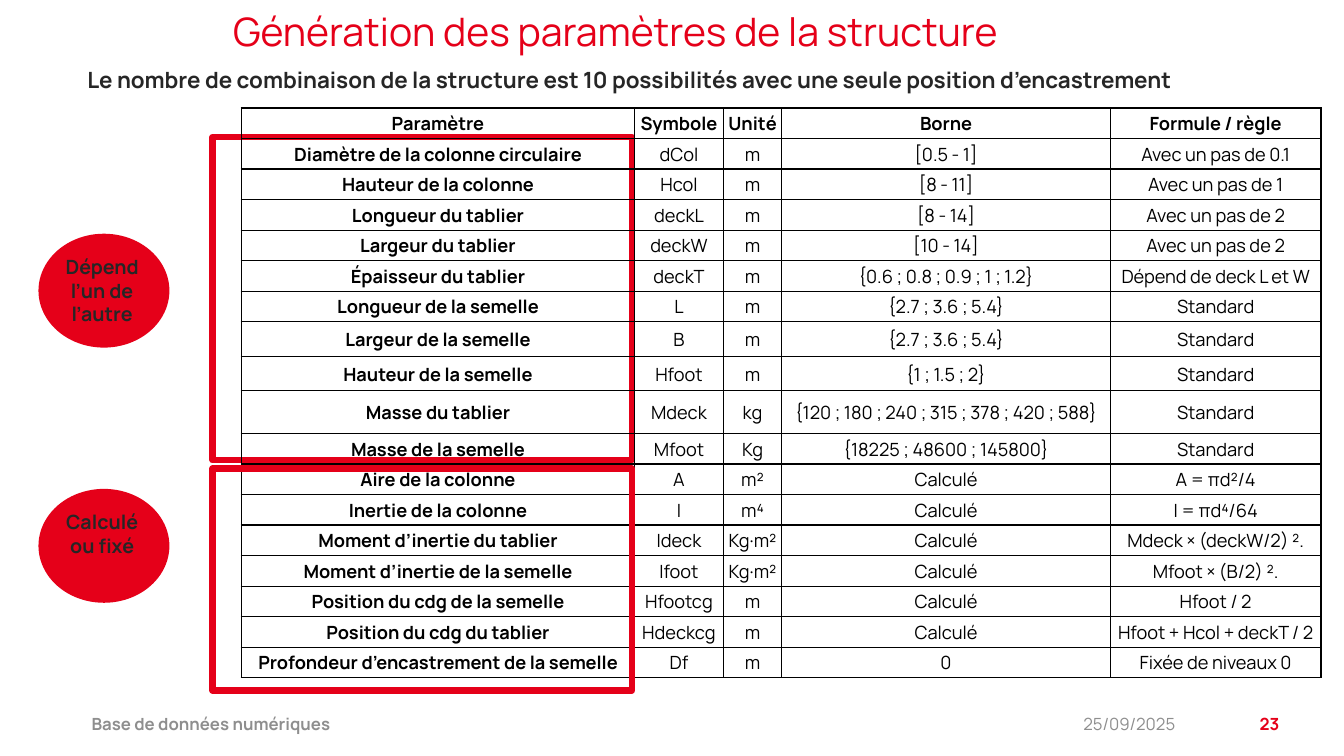
import pptx
import pptx.dml.color
import pptx.enum.shapes
import pptx.enum.text
import pptx.oxml
import pptx.oxml.ns
import pptx.util
from pptx.util import Cm

RED, DARK, GREY, BLACK = "E50019", "262626", "8E8E8E", "000000"
ALIGN = pptx.enum.text.PP_ALIGN
ANCHOR = pptx.enum.text.MSO_ANCHOR
SHAPE = pptx.enum.shapes.MSO_SHAPE


def rgb(hex_color):
    return pptx.dml.color.RGBColor.from_string(hex_color)


def write(text_frame, text, size, color, bold=False, align=ALIGN.CENTER, **frame_format):
    """Fill a text frame with one formatted paragraph and return that paragraph."""
    for name, value in {"word_wrap": True, **frame_format}.items():
        setattr(text_frame, name, value)
    paragraph = text_frame.paragraphs[0]
    paragraph.alignment = align
    run = paragraph.add_run()
    run.text = text
    font_format = {"name": "Manrope", "size": pptx.util.Pt(size), "bold": bold}
    for name, value in font_format.items():
        setattr(run.font, name, value)
    run.font.color.rgb = rgb(color)
    return paragraph


presentation = pptx.Presentation()
presentation.slide_width, presentation.slide_height = Cm(33.87), Cm(19.05)
slide = presentation.slides.add_slide(presentation.slide_layouts[6])
shapes = slide.shapes

# Footer
FOOTER = [
    ("25/09/2025", 26.75, 3.12, GREY, False, ALIGN.RIGHT),
    ("Base de données numériques", 2.06, 24.56, GREY, True, ALIGN.LEFT),
    ("23", 30.56, 1.93, RED, True, ALIGN.RIGHT),
]
for text, left, width, color, bold, align in FOOTER:
    box = shapes.add_textbox(Cm(left), Cm(17.75), Cm(width), Cm(1))
    write(box.text_frame, text, 12, color, bold, align, vertical_anchor=ANCHOR.MIDDLE)

# Title and subtitle
title = shapes.add_textbox(Cm(0.97), Cm(0.28), Cm(29.08), Cm(1.27))
write(title.text_frame, "Génération des paramètres de la structure", 28, RED).line_spacing = 0.8
subtitle = shapes.add_textbox(Cm(0.89), Cm(1.55), Cm(29.95), Cm(1.02))
write(
    subtitle.text_frame,
    "Le nombre de combinaison de la structure est 10 possibilités "
    "avec une seule position d’encastrement",
    16, DARK, True, margin_left=0, margin_right=0,
)

# Parameter table
PARAMETERS = [
    ("Paramètre", "Symbole", "Unité", "Borne", "Formule / règle"),
    ("Diamètre de la colonne circulaire", "dCol", "m", "[0.5 - 1]", "Avec un pas de 0.1"),
    ("Hauteur de la colonne", "Hcol", "m", "[8 - 11]", "Avec un pas de 1"),
    ("Longueur du tablier", "deckL", "m", "[8 - 14]", "Avec un pas de 2"),
    ("Largeur du tablier", "deckW", "m", "[10 - 14]", "Avec un pas de 2"),
    ("Épaisseur du tablier", "deckT", "m", "{0.6 ; 0.8 ; 0.9 ; 1 ; 1.2}", "Dépend de deck L et W"),
    ("Longueur de la semelle", "L", "m", "{2.7 ; 3.6 ; 5.4}", "Standard"),
    ("Largeur de la semelle", "B", "m", "{2.7 ; 3.6 ; 5.4}", "Standard"),
    ("Hauteur de la semelle", "Hfoot", "m", "{1 ; 1.5 ; 2}", "Standard"),
    ("Masse du tablier", "Mdeck", "kg", "{120 ; 180 ; 240 ; 315 ; 378 ; 420 ; 588}", "Standard"),
    ("Masse de la semelle", "Mfoot", "Kg", "{18225 ; 48600 ; 145800}", "Standard"),
    ("Aire de la colonne", "A", "m²", "Calculé", "A = πd²/4"),
    ("Inertie de la colonne", "I", "m⁴", "Calculé", "I = πd⁴/64"),
    ("Moment d’inertie du tablier", "Ideck", "Kg·m²", "Calculé", "Mdeck × (deckW/2) ²."),
    ("Moment d’inertie de la semelle", "Ifoot", "Kg·m²", "Calculé", "Mfoot × (B/2) ²."),
    ("Position du cdg de la semelle", "Hfootcg", "m", "Calculé", "Hfoot / 2"),
    ("Position du cdg du tablier", "Hdeckcg", "m", "Calculé", "Hfoot + Hcol + deckT / 2"),
    ("Profondeur d’encastrement de la semelle", "Df", "m", "0", "Fixée de niveaux 0"),
]
COLUMN_WIDTHS = [9.91, 2.24, 1.47, 8.28, 5.31]
ROW_HEIGHT = 0.77
TALL_ROWS = {7: 0.87, 8: 0.87, 9: 1.07}
CELL_FORMAT = {
    "margin_left": Cm(0.02), "margin_right": Cm(0.02), "margin_top": Cm(0.02),
    "margin_bottom": 0, "vertical_anchor": ANCHOR.MIDDLE,
}

table_frame = shapes.add_table(
    len(PARAMETERS), len(COLUMN_WIDTHS), Cm(6.08), Cm(2.72), Cm(27.21), Cm(14.36)
)
table = table_frame.table
table.first_row = table.horz_banding = False
for column, width in zip(table.columns, COLUMN_WIDTHS):
    column.width = Cm(width)
for row_index, values in enumerate(PARAMETERS):
    table.rows[row_index].height = Cm(TALL_ROWS.get(row_index, ROW_HEIGHT))
    for column_index, value in enumerate(values):
        cell = table.cell(row_index, column_index)
        for name, setting in CELL_FORMAT.items():
            setattr(cell, name, setting)
        write(cell.text_frame, value, 13, BLACK, row_index == 0 or column_index == 0)
        properties = cell._tc.get_or_add_tcPr()
        for side in ("lnL", "lnR", "lnT", "lnB"):
            properties.append(pptx.oxml.parse_xml(
                f'<a:{side} {pptx.oxml.ns.nsdecls("a")} w="12700"><a:solidFill>'
                f'<a:srgbClr val="{BLACK}"/></a:solidFill></a:{side}>'
            ))
        cell.fill.background()

# Parameter groups: frame, ellipse and label
GROUPS = [
    ("Dépend l’un de l’autre", 3.45, 8.15, 5.89, 2.06),
    ("Calculé ou fixé", 11.81, 5.59, 12.32, 1.45),
]
for label, frame_top, frame_height, ellipse_top, label_height in GROUPS:
    frame = shapes.add_shape(
        SHAPE.RECTANGLE, Cm(5.36), Cm(frame_top), Cm(10.57), Cm(frame_height)
    )
    frame.shadow.inherit = False
    frame.fill.background()
    frame.line.color.rgb = rgb(RED)
    frame.line.width = pptx.util.Pt(4.5)
    ellipse = shapes.add_shape(SHAPE.OVAL, Cm(0.97), Cm(ellipse_top), Cm(3.3), Cm(2.87))
    ellipse.shadow.inherit = False
    ellipse.fill.solid()
    ellipse.fill.fore_color.rgb = rgb(RED)
    ellipse.line.fill.background()
    box = shapes.add_textbox(Cm(1.19), Cm(ellipse_top + 0.41), Cm(2.77), Cm(label_height))
    write(box.text_frame, label, 14, DARK, True)

# The table lies between the two groups
frame._element.addprevious(table_frame._element)

presentation.save("out.pptx")
